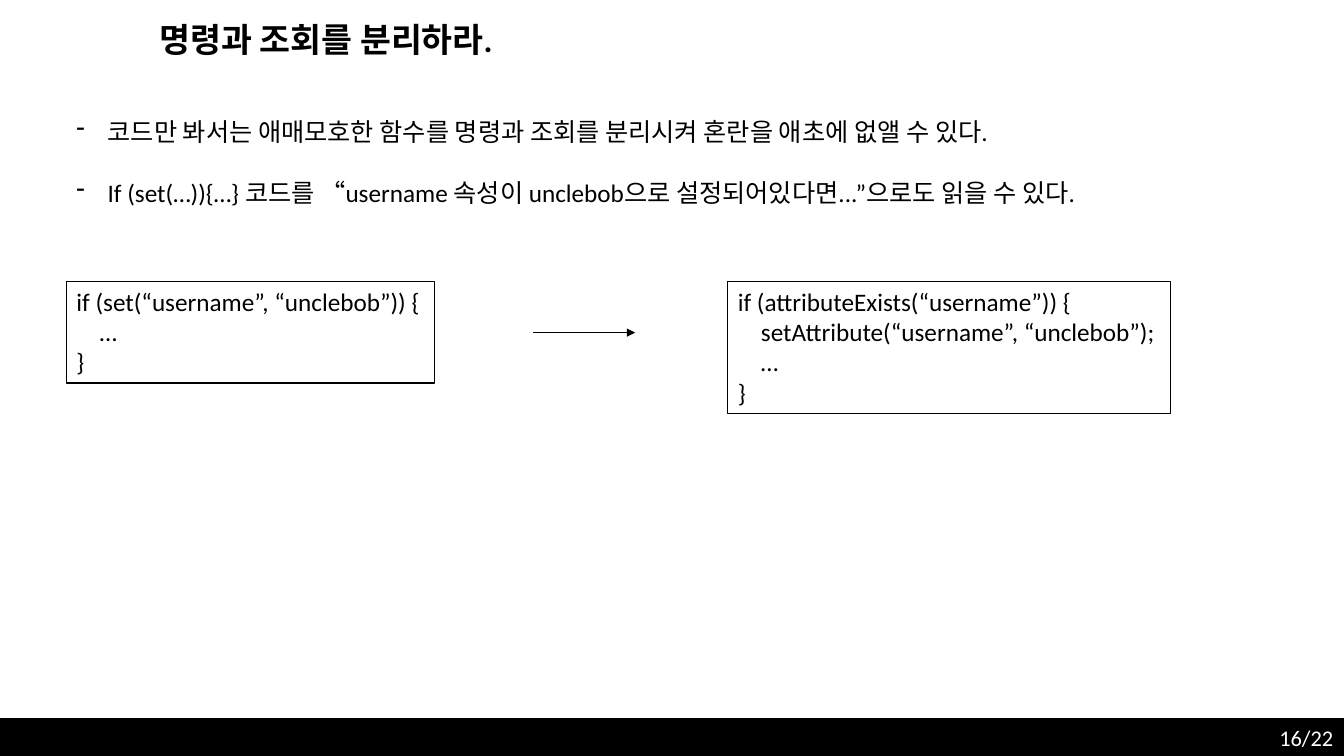
from dataclasses import dataclass

from lxml import etree
from pptx import Presentation
from pptx import util as u
from pptx.dml.color import RGBColor
from pptx.enum import shapes, text
from pptx.oxml.ns import qn

WIDTH, HEIGHT = u.Inches(13.33), u.Inches(7.5)
BLACK, WHITE = "000000", "FFFFFF"
FONT = "Calibri"
CODE_INDENT = u.Inches(0.23)
BULLET_INDENT = u.Inches(0.31)


@dataclass(frozen=True)
class Box:
    """Left, top, width and height in percent of the slide."""
    left: float
    top: float
    width: float
    height: float


@dataclass(frozen=True)
class Line:
    text: str
    level: int = 0


@dataclass(frozen=True)
class CodeBox:
    box: Box
    lines: tuple[Line, ...]


TITLE = "명령과 조회를 분리하라."
BULLETS = (
    Line("코드만 봐서는 애매모호한 함수를 명령과 조회를 분리시켜 혼란을 애초에 없앨 수 있다."),
    Line("If (set(…)){…} 코드를 “username 속성이 unclebob으로 설정되어있다면...”으로도 읽을 수 있다."),
)
CODE_BOXES = (
    CodeBox(Box(4.95, 37.2, 27.38, 13.47), (
        Line("if (set(“username”, “unclebob”)) {"),
        Line("…", 1),
        Line("}"),
    )),
    CodeBox(Box(54.16, 37.2, 32.93, 17.47), (
        Line("if (attributeExists(“username”)) {"),
        Line("setAttribute(“username”, “unclebob”);", 1),
        Line("…", 1),
        Line("}"),
    )),
)


def rgb(color: str) -> RGBColor:
    return RGBColor.from_string(color)


def x(share: float) -> int:
    return round(WIDTH * share / 100)


def y(share: float) -> int:
    return round(HEIGHT * share / 100)


def place(box: Box) -> tuple[int, int, int, int]:
    return x(box.left), y(box.top), x(box.width), y(box.height)


def write(sp, lines: tuple[Line, ...], *, size: float = 18, color: str = BLACK,
          bold: bool = False, bullet: str = "", gap: float = 0) -> None:
    tf = sp.text_frame
    tf.word_wrap = False
    tf.auto_size = text.MSO_AUTO_SIZE.SHAPE_TO_FIT_TEXT
    tf.vertical_anchor = text.MSO_ANCHOR.TOP
    for i, line in enumerate(lines):
        p = tf.add_paragraph() if i else tf.paragraphs[0]
        p.alignment = text.PP_ALIGN.LEFT
        p.space_before = u.Pt(gap if i else 0)
        r = p.add_run()
        r.text = line.text
        r.font.name, r.font.size, r.font.bold = FONT, u.Pt(size), bold
        r.font.color.rgb = rgb(color)
        pPr = p._p.get_or_add_pPr()
        if bullet:
            pPr.set("marL", str(BULLET_INDENT))
            pPr.set("indent", str(-BULLET_INDENT))
            etree.SubElement(pPr, qn("a:buFontTx"))
            etree.SubElement(pPr, qn("a:buChar"), char=bullet)
        elif line.level:
            pPr.set("marL", str(CODE_INDENT * line.level))


def add_rect(s, box: Box, *, fill: str = "", width: float = 1):
    sp = s.shapes.add_shape(shapes.MSO_SHAPE.RECTANGLE, *place(box))
    sp.shadow.inherit = False
    if fill:
        sp.fill.solid()
        sp.fill.fore_color.rgb = rgb(fill)
    else:
        sp.fill.background()
    sp.line.color.rgb = rgb(BLACK)
    sp.line.width = u.Pt(width)
    return sp


def add_arrow(s, start: float, end: float, row: float) -> None:
    cxn = s.shapes.add_connector(shapes.MSO_CONNECTOR.STRAIGHT,
                                 x(start), y(row), x(end), y(row))
    cxn.line.color.rgb = rgb(BLACK)
    cxn.line.width = u.Pt(0.5)
    etree.SubElement(cxn.line._get_or_add_ln(), qn("a:tailEnd"), type="triangle")
    etree.SubElement(cxn._element.spPr, qn("a:effectLst"))


def main() -> None:
    prs = Presentation()
    prs.slide_width, prs.slide_height = WIDTH, HEIGHT
    s = prs.slides.add_slide(prs.slide_layouts.get_by_name("Title Only"))

    # Title
    title = s.shapes.title
    title.left, title.top, title.width, title.height = place(Box(11.1, 1.87, 28.58, 6.67))
    write(title, (Line(TITLE),), size=24, bold=True)

    # Footer bar
    footer = Box(0, 95.07, 100, 4.93)
    add_rect(s, footer, fill=BLACK)

    # Code before and after, joined by an arrow
    for code in CODE_BOXES:
        write(add_rect(s, code.box, width=0.75), code.lines)
    add_arrow(s, 39.68, 47.26, 44)

    # Bullets
    sp = s.shapes.add_textbox(*place(Box(4.95, 14.67, 78.99, 13.47)))
    write(sp, BULLETS, bullet="-", gap=22)

    # Page number
    sp = s.shapes.add_textbox(*place(Box(94.45, footer.top, 5.55, footer.height)))
    write(sp, (Line("16/22"),), size=16, color=WHITE)

    prs.save("out.pptx")


if __name__ == "__main__":
    main()
